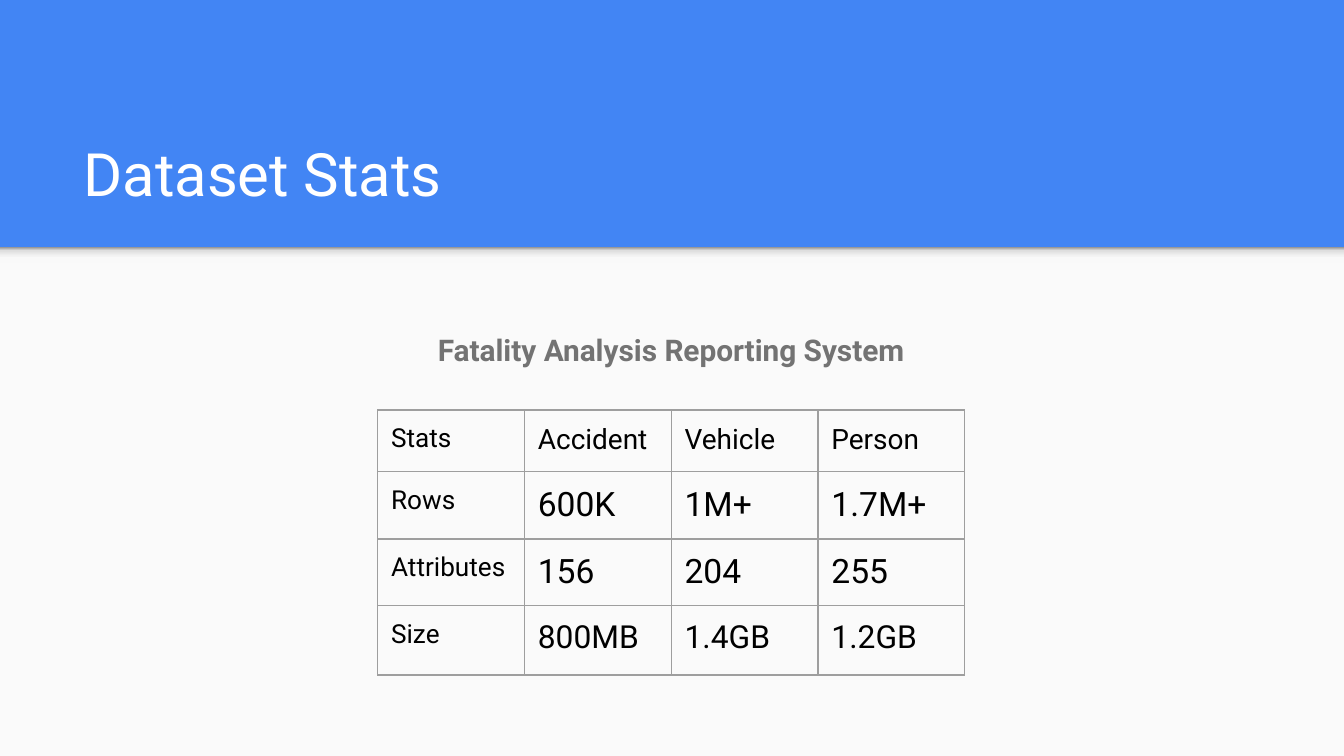
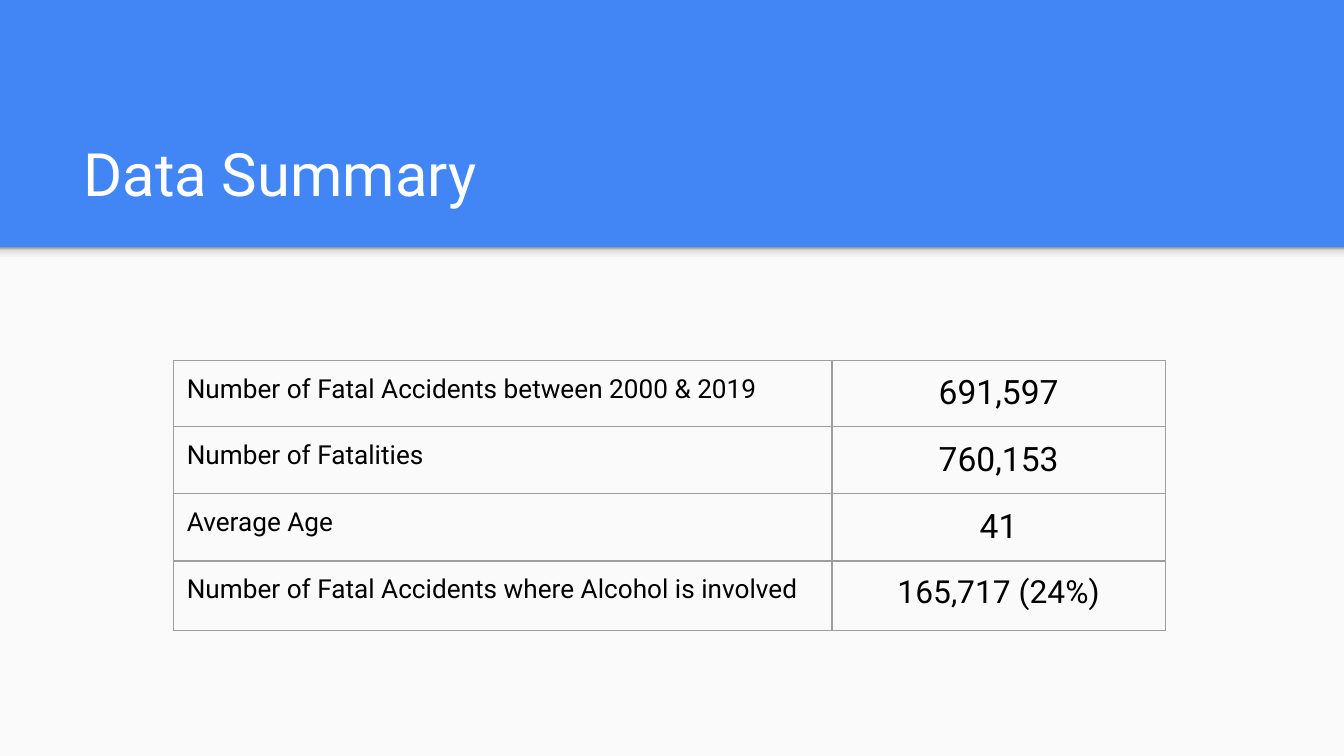
from lxml import etree
from pptx import Presentation
from pptx.dml.color import RGBColor
from pptx.enum import shapes, text
from pptx.oxml import ns
from pptx.util import Inches, Pt

BLUE, PAPER, WHITE, BLACK = "4285F4", "FAFAFA", "FFFFFF", "000000"
HEADING_GRAY, BORDER_GRAY = "737373", "9E9E9E"
SHADOW_STOPS = [(0, "F9F9F9"), (36, "F9F9F9"), (80, "DEDEDE"), (100, "999999")]
TITLE_LAYOUT, BODY_LAYOUT = 5, 1
WIDTH = 10
HEIGHT = WIDTH * 9 / 16
BAND_BOTTOM = 1.84
LEFT, CENTER = text.PP_ALIGN.LEFT, text.PP_ALIGN.CENTER


def color(hex_value):
    return RGBColor.from_string(hex_value)


def add_color_xml(parent, hex_value):
    etree.SubElement(parent, ns.qn("a:srgbClr"), val=hex_value)


class Deck:
    def __init__(self, font):
        self.presentation = Presentation()
        self.presentation.slide_width = Inches(WIDTH)
        self.presentation.slide_height = Inches(HEIGHT)
        self.font = font
        self.slide = None

    def start_slide(self, title, layout=TITLE_LAYOUT):
        slides = self.presentation.slides
        self.slide = slides.add_slide(self.presentation.slide_layouts[layout])
        self.placeholder(self.slide.shapes.title, title, (0.52, 0.81, 8.99, 0.84),
                         32, WHITE, anchor=text.MSO_ANCHOR.BOTTOM)

    def style(self, paragraph, size, hex_value, align=LEFT, bold=False):
        paragraph.alignment = align
        font = paragraph.font
        font.name, font.size, font.bold = self.font, Pt(size), bold
        font.color.rgb = color(hex_value)

    def set_margins(self, holder):
        holder.margin_left = holder.margin_right = Inches(0.1)
        holder.margin_top = holder.margin_bottom = Inches(0.1)

    def placeholder(self, shape, words, box, size, hex_value, align=LEFT,
                    bold=False, anchor=text.MSO_ANCHOR.TOP):
        shape.left, shape.top, shape.width, shape.height = map(Inches, box)
        frame = shape.text_frame
        frame.text = words
        frame.word_wrap = True
        frame.auto_size = text.MSO_AUTO_SIZE.NONE
        frame.vertical_anchor = anchor
        self.set_margins(frame)
        paragraph = frame.paragraphs[0]
        paragraph.space_before = Pt(0)
        self.style(paragraph, size, hex_value, align, bold)
        return paragraph

    def heading(self, words, box):
        """Fill the body placeholder with one centred line without a bullet."""
        paragraph = self.placeholder(self.slide.placeholders[1], words, box,
                                     16, HEADING_GRAY, CENTER, bold=True)
        paragraph.line_spacing = 1.15
        properties = paragraph._p.get_or_add_pPr()
        properties.set("marL", "0")
        properties.set("indent", "0")
        bullet = etree.Element(ns.qn("a:buNone"))
        properties.find(ns.qn("a:defRPr")).addprevious(bullet)

    def rectangle(self, top, height):
        shape = self.slide.shapes.add_shape(
            shapes.MSO_SHAPE.RECTANGLE, 0, Inches(top), Inches(WIDTH), Inches(height))
        shape.shadow.inherit = False
        shape.line.fill.background()
        return shape

    def set_backdrop(self):
        """Give the master its blue ground, pale panel and shadow strip."""
        master = self.presentation.slide_master
        master.background.fill.solid()
        master.background.fill.fore_color.rgb = color(BLUE)

        panel = self.rectangle(BAND_BOTTOM, HEIGHT - BAND_BOTTOM)
        panel.fill.solid()
        panel.fill.fore_color.rgb = color(PAPER)

        shadow = self.rectangle(BAND_BOTTOM, 0.12)
        shadow.fill.gradient()
        shadow.fill.gradient_angle = 90
        stops = shadow.element.spPr.find(ns.qn("a:gradFill")).find(ns.qn("a:gsLst"))
        for stop in list(stops):
            stops.remove(stop)
        for percent, hex_value in SHADOW_STOPS:
            stop = etree.SubElement(stops, ns.qn("a:gs"), pos=str(percent * 1000))
            add_color_xml(stop, hex_value)

        for index, shape in enumerate((panel, shadow)):
            shape.element.nvSpPr.cNvPr.set("id", str(101 + index))
            master.shapes.element.insert(2 + index, shape.element)

    def border(self, cell):
        properties = cell._tc.get_or_add_tcPr()
        for index, side in enumerate(("a:lnL", "a:lnR", "a:lnT", "a:lnB")):
            line = etree.Element(ns.qn(side), w=str(Pt(0.75)))
            add_color_xml(etree.SubElement(line, ns.qn("a:solidFill")), BORDER_GRAY)
            properties.insert(index, line)

    def table(self, left, top, widths, heights, rows, value_sizes, value_align=LEFT):
        """Draw labels in the first column and values, sized by row, in the others."""
        table = self.slide.shapes.add_table(
            len(rows), len(widths), Inches(left), Inches(top),
            Inches(sum(widths)), Inches(sum(heights))).table
        table.first_row = table.horz_banding = False
        for column, width in zip(table.columns, widths):
            column.width = Inches(width)
        for r, (height, row) in enumerate(zip(heights, rows)):
            table.rows[r].height = Inches(height)
            for c, words in enumerate(row):
                cell = table.cell(r, c)
                cell.text = words
                self.set_margins(cell)
                cell.fill.background()
                self.border(cell)
                size, align = (value_sizes[r], value_align) if c else (14, LEFT)
                self.style(cell.text_frame.paragraphs[0], size, BLACK, align)


def main():
    deck = Deck("Roboto")

    deck.start_slide("Dataset Stats", BODY_LAYOUT)
    deck.set_backdrop()
    deck.heading("Fatality Analysis Reporting System", (2.81, 2.33, 4.37, 2.96))
    deck.table(2.81, 3.05, [4.37 / 4] * 4, [0.46, 0.5, 0.49, 0.52], [
        ("Stats", "Accident", "Vehicle", "Person"),
        ("Rows", "600K", "1M+", "1.7M+"),
        ("Attributes", "156", "204", "255"),
        ("Size", "800MB", "1.4GB", "1.2GB"),
    ], value_sizes=[15, 18, 18, 17])

    deck.start_slide("Data Summary")
    deck.table(1.29, 2.68, [4.9, 2.48], [0.46, 0.5, 0.5, 0.52], [
        ("Number of Fatal Accidents between 2000 & 2019", "691,597"),
        ("Number of Fatalities", "760,153"),
        ("Average Age", "41"),
        ("Number of Fatal Accidents where Alcohol is involved", "165,717 (24%)"),
    ], value_sizes=[18, 18, 18, 17], value_align=CENTER)

    deck.presentation.save("out.pptx")


if __name__ == "__main__":
    main()
